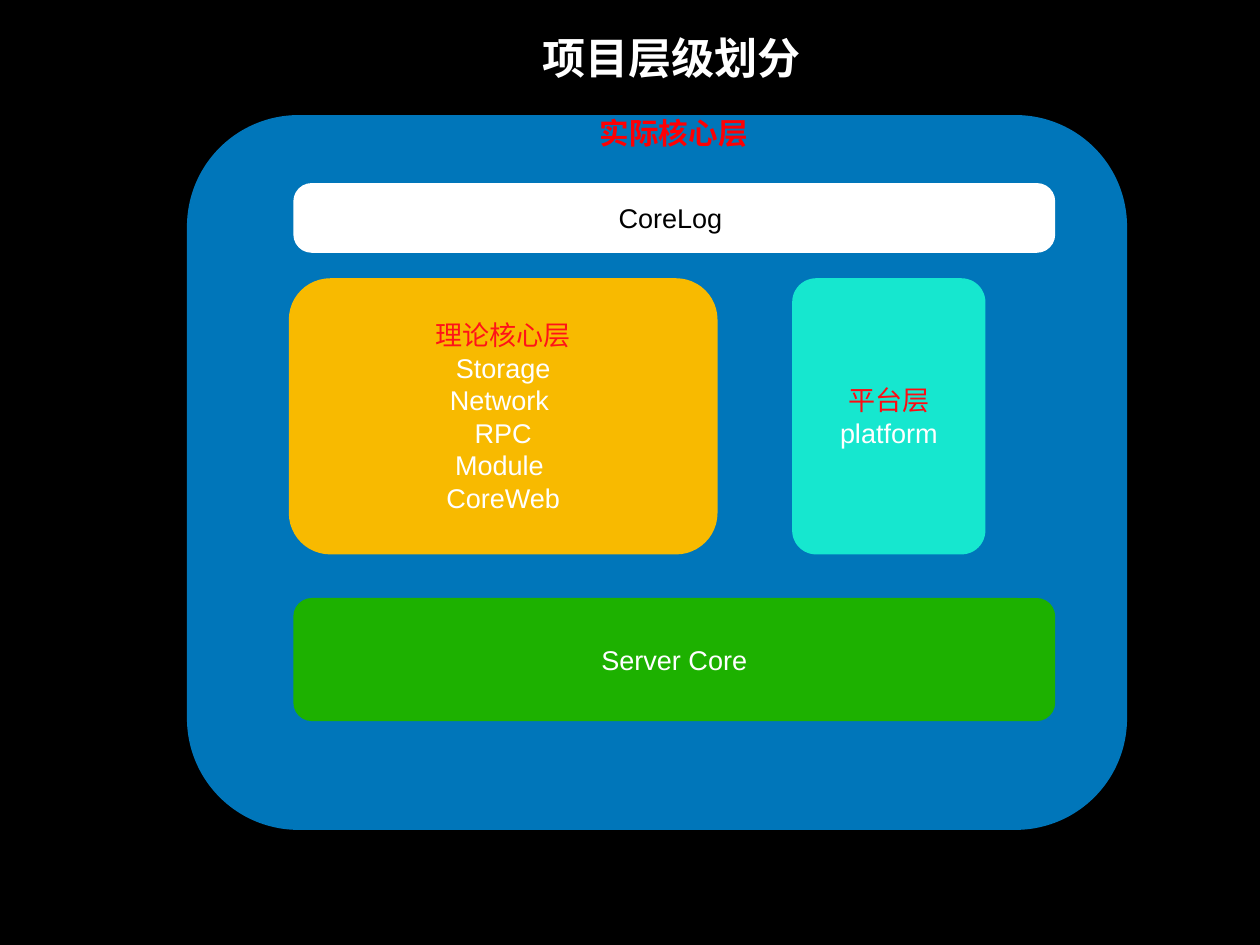
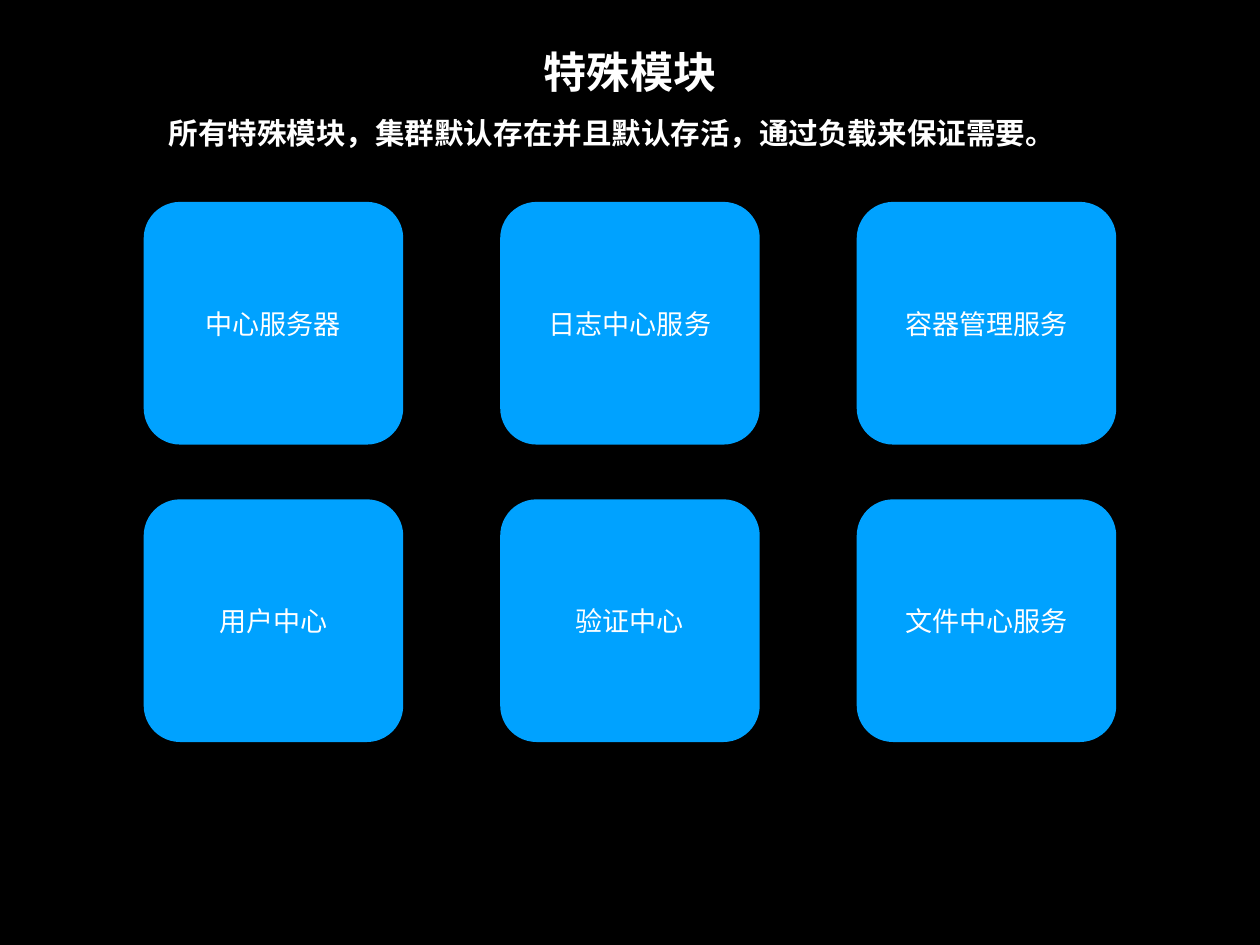
from dataclasses import dataclass
from itertools import product

from pptx import Presentation
from pptx.dml.color import RGBColor
from pptx.enum import shapes, text
from pptx.slide import Slide
from pptx.text.text import TextFrame
from pptx.util import Cm, Pt


@dataclass(frozen=True)
class Theme:
    font: str = "Arial"
    back: str = "000000"
    white: str = "FFFFFF"
    black: str = "000000"
    red: str = "FF0003"
    coral: str = "FF1318"
    rose: str = "FF0B12"
    panel: str = "0076BA"
    gold: str = "F8BA00"
    aqua: str = "16E7CF"
    green: str = "1DB100"
    azure: str = "00A2FF"
    title: int = 35
    label: int = 24
    body: int = 22
    inset: float = 0.15


@dataclass(frozen=True)
class Area:
    left: float
    top: float
    width: float
    height: float

    def cm(self) -> tuple[Cm, Cm, Cm, Cm]:
        return Cm(self.left), Cm(self.top), Cm(self.width), Cm(self.height)


@dataclass(frozen=True)
class Line:
    words: str
    color: str


@dataclass(frozen=True)
class Box:
    area: Area
    fill: str
    lines: tuple[Line, ...] = ()
    round: float = 0.15


THEME = Theme()


def write(frame: TextFrame, lines: tuple[Line, ...], size: int, bold: bool = False, wrap: bool = True) -> None:
    frame.word_wrap = wrap
    frame.vertical_anchor = text.MSO_ANCHOR.MIDDLE
    frame.margin_left = frame.margin_right = Cm(THEME.inset)
    frame.margin_top = frame.margin_bottom = Cm(THEME.inset)
    for index, line in enumerate(lines):
        para = frame.paragraphs[0] if index == 0 else frame.add_paragraph()
        para.text = line.words
        para.alignment = text.PP_ALIGN.CENTER
        para.font.name = THEME.font
        para.font.size = Pt(size)
        para.font.bold = bold
        para.font.color.rgb = RGBColor.from_string(line.color)


def draw(slide: Slide, box: Box) -> None:
    shape = slide.shapes.add_shape(shapes.MSO_SHAPE.ROUNDED_RECTANGLE, *box.area.cm())
    shape.adjustments[0] = box.round
    shape.shadow.inherit = False
    shape.fill.solid()
    shape.fill.fore_color.rgb = RGBColor.from_string(box.fill)
    shape.line.fill.background()
    write(shape.text_frame, box.lines, THEME.body)


def title(slide: Slide, words: str, left: float, top: float) -> None:
    frame = slide.shapes.add_textbox(*Area(left, top, 24.49, 2).cm()).text_frame
    write(frame, (Line(words, THEME.white),), THEME.title, bold=True)


def label(slide: Slide, line: Line, left: float, width: float) -> None:
    frame = slide.shapes.add_textbox(*Area(left, 3.07, width, 1.45).cm()).text_frame
    write(frame, (line,), THEME.label, bold=True, wrap=False)


def layers(slide: Slide) -> None:
    title(slide, "项目层级划分", 7.01, 0.64)
    names = ("Storage", "Network ", "RPC", "Module ", "CoreWeb")
    theory = (Line("理论核心层", THEME.coral), *(Line(name, THEME.white) for name in names))
    host = (Line("平台层", THEME.rose), Line("platform", THEME.white))
    core = (Line("Server Core", THEME.white),)
    log = (Line("CoreLog ", THEME.black),)
    for box in (
        Box(Area(5.36, 3.3, 26.95, 20.5), THEME.panel, round=0.156),
        Box(Area(8.28, 7.98, 12.29, 7.92), THEME.gold, theory),
        Box(Area(22.71, 7.98, 5.54, 7.92), THEME.aqua, host, 0.124),
        Box(Area(8.41, 17.15, 21.84, 3.53), THEME.green, core),
        Box(Area(8.41, 5.25, 21.84, 2), THEME.white, log, 0.263),
    ):
        draw(slide, box)
    label(slide, Line("实际核心层", THEME.red), 17.04, 4.55)


def modules(slide: Slide) -> None:
    title(slide, "特殊模块", 5.82, 1.04)
    note = "所有特殊模块，集群默认存在并且默认存活，通过负载来保证需要。"
    label(slide, Line(note, THEME.white), 4.67, 25.73)
    names = ("中心服务器", "日志中心服务", "容器管理服务", "用户中心", "验证中心", "文件中心服务")
    for name, (row, col) in zip(names, product(range(2), range(3))):
        area = Area(4.12 + 10.22 * col, 5.79 + 8.53 * row, 7.44, 6.96)
        draw(slide, Box(area, THEME.azure, (Line(name, THEME.white),)))


def main() -> None:
    deck = Presentation()
    deck.slide_width, deck.slide_height = Cm(36.12), Cm(27.1)
    fill = deck.slide_master.background.fill
    fill.solid()
    fill.fore_color.rgb = RGBColor.from_string(THEME.back)
    for build in (layers, modules):
        build(deck.slides.add_slide(deck.slide_layouts[6]))
    deck.save("out.pptx")


main()
